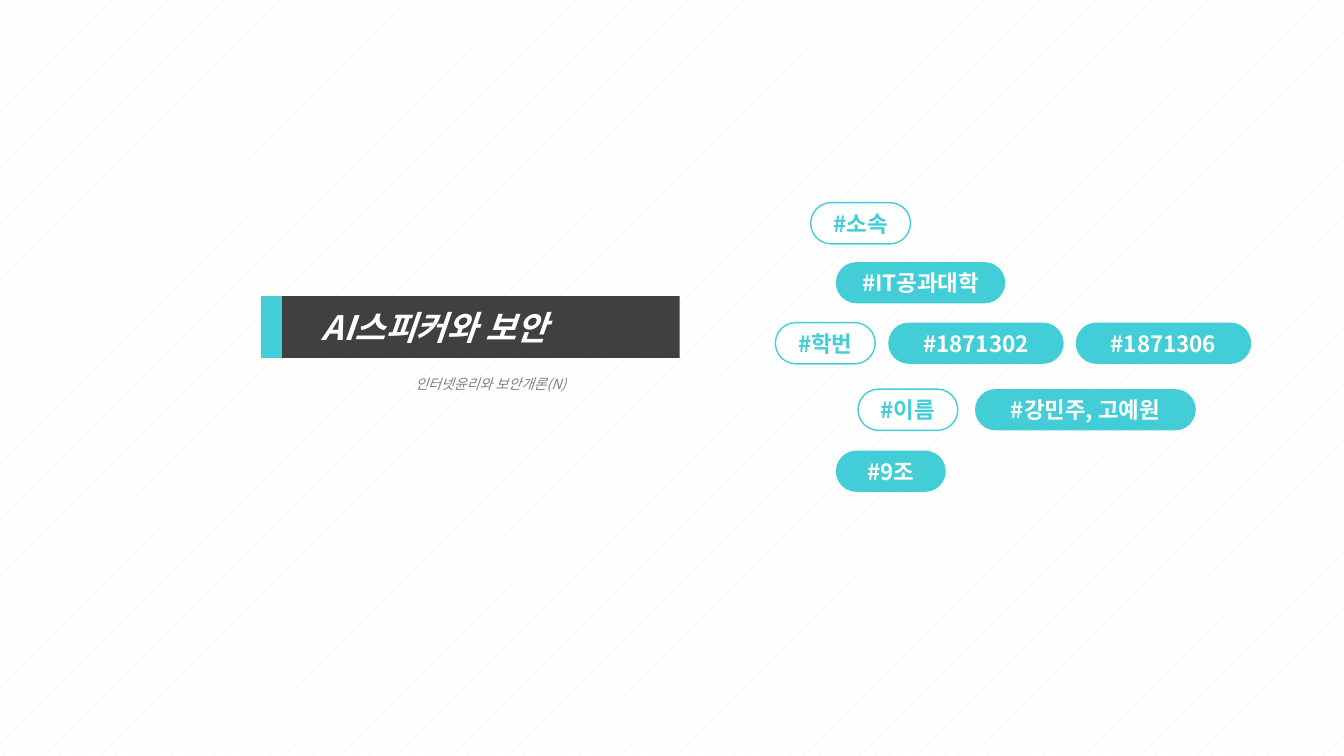
from dataclasses import dataclass

from lxml import etree
from pptx import Presentation
from pptx.dml.color import RGBColor
from pptx.enum.dml import MSO_PATTERN
from pptx.enum.shapes import MSO_SHAPE
from pptx.enum.text import MSO_ANCHOR, MSO_AUTO_SIZE, PP_ALIGN
from pptx.oxml.ns import qn
from pptx.shapes.autoshape import Shape
from pptx.slide import Slide
from pptx.text.text import _Paragraph as Para
from pptx.util import Inches, Pt

TEAL = RGBColor(0x43, 0xCD, 0xD7)
DARK = RGBColor(0x40, 0x40, 0x40)
GRAY = RGBColor(0x80, 0x80, 0x80)
PALE = RGBColor(0xF2, 0xF2, 0xF2)
WHITE = RGBColor(0xFF, 0xFF, 0xFF)

ROUND = MSO_SHAPE.ROUNDED_RECTANGLE
DOTS = MSO_PATTERN.PERCENT_5
MIDDLE = MSO_ANCHOR.MIDDLE
CENTER = PP_ALIGN.CENTER
GROW = MSO_AUTO_SIZE.SHAPE_TO_FIT_TEXT

FACE = "Noto Sans CJK KR"
TITLE = {"name": FACE, "size": Pt(24), "bold": True, "italic": True}
COURSE = {"name": FACE, "size": Pt(10), "italic": True}
TAG = {"name": FACE, "size": Pt(16), "bold": True}

TAG_HIGH = 0.41
LABEL_WIDE = 0.99
ID_WIDE = 1.74


@dataclass(frozen=True)
class Tag:
    text: str
    left: float
    top: float
    width: float
    filled: bool = True


TAGS = [
    Tag("#소속", 8.04, 2.01, LABEL_WIDE, False),
    Tag("#IT공과대학", 8.29, 2.6, 1.68),
    Tag("#학번", 7.69, 3.2, LABEL_WIDE, False),
    Tag("#1871302", 8.81, 3.2, ID_WIDE),
    Tag("#1871306", 10.67, 3.2, ID_WIDE),
    Tag("#이름", 8.51, 3.86, LABEL_WIDE, False),
    Tag("#강민주, 고예원", 9.67, 3.86, 2.19),
    Tag("#9조", 8.29, 4.47, 1.09),
]


def write(para: Para, text: str, style: dict, color: RGBColor) -> None:
    """Add a run whose typeface covers Latin and Korean alike."""
    run = para.add_run()
    run.text = text
    for key, value in style.items():
        setattr(run.font, key, value)
    run.font.color.rgb = color
    etree.SubElement(run._r.get_or_add_rPr(), qn("a:ea"), typeface=FACE)


def add_box(slide: Slide, left: float, top: float, width: float,
            height: float, curve: float) -> Shape:
    box = slide.shapes.add_shape(
        ROUND, Inches(left), Inches(top), Inches(width), Inches(height))
    box.adjustments[0] = curve
    box.shadow.inherit = False
    box.line.fill.background()
    box.text_frame.vertical_anchor = MIDDLE
    return box


def add_course(slide: Slide) -> None:
    box = slide.shapes.add_textbox(
        Inches(4.02), Inches(3.59), Inches(4.02), Inches(0.35))
    frame = box.text_frame
    frame.word_wrap = True
    frame.auto_size = GROW
    para = frame.paragraphs[0]
    para.line_spacing = 1.5
    write(para, "인터넷윤리와 보안개론(N)", COURSE, GRAY)


def add_title(slide: Slide) -> None:
    """Draw the dark bar; a hard gradient stop makes its teal end."""
    bar = add_box(slide, 2.59, 2.94, 4.15, 0.61, 0)
    bar.fill.gradient()
    bar.fill.gradient_angle = 180
    for stop, color in zip(bar.fill.gradient_stops, (DARK, TEAL)):
        stop.position = 0.95
        stop.color.rgb = color
    para = bar.text_frame.paragraphs[0]
    para.level = 1
    para.alignment = PP_ALIGN.LEFT
    props = para._p.get_or_add_pPr()
    props.set("marL", str(Inches(0.5)))
    props.set("indent", "0")
    write(para, "AI스피커와 보안", TITLE, WHITE)


def add_tag(slide: Slide, tag: Tag) -> None:
    pill = add_box(slide, tag.left, tag.top, tag.width, TAG_HIGH, 0.5)
    pill.fill.solid()
    pill.fill.fore_color.rgb = TEAL if tag.filled else WHITE
    if not tag.filled:
        pill.line.color.rgb = TEAL
        pill.line.width = Pt(1)
    para = pill.text_frame.paragraphs[0]
    para.alignment = CENTER
    write(para, tag.text, TAG, WHITE if tag.filled else TEAL)


def main() -> None:
    deck = Presentation()
    deck.slide_width = Inches(13.33)
    deck.slide_height = Inches(7.5)
    slide = deck.slides.add_slide(deck.slide_layouts[6])
    back = slide.background.fill
    back.patterned()
    back.pattern = DOTS
    back.fore_color.rgb = PALE
    back.back_color.rgb = WHITE
    add_course(slide)
    add_title(slide)
    for tag in TAGS:
        add_tag(slide, tag)
    deck.save("out.pptx")


if __name__ == "__main__":
    main()
